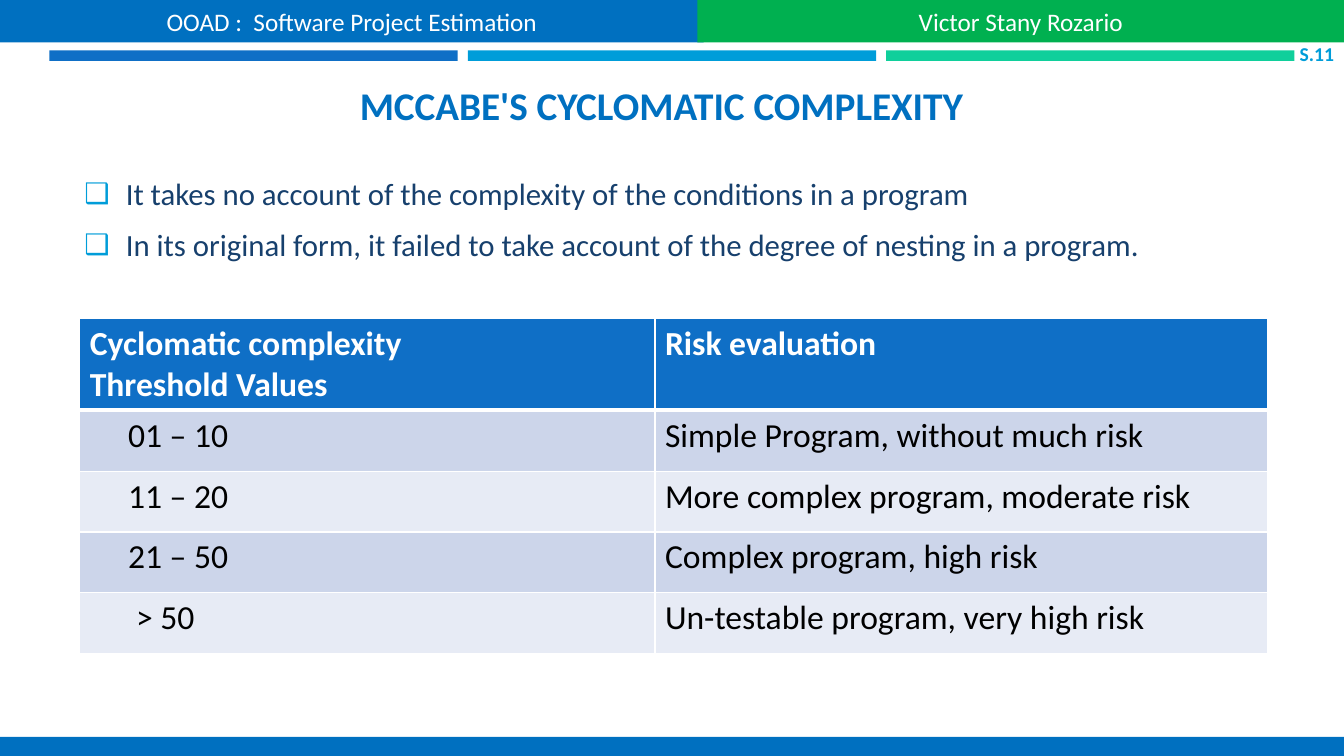
from dataclasses import dataclass
from lxml import etree
from pptx import Presentation
from pptx import util as u
from pptx.dml.color import RGBColor
from pptx.enum import shapes, text
from pptx.oxml import ns

WIDE, HIGH = u.Inches(13.33), u.Inches(7.5)
ALIGN, ANCHOR = text.PP_ALIGN, text.MSO_ANCHOR


@dataclass(frozen=True)
class Theme:
    face: str = "Calibri"
    blue: str = "0070C0"
    green: str = "00B050"
    royal: str = "0F6FC6"
    sky: str = "009DD9"
    mint: str = "10CF9B"
    navy: str = "17406D"
    white: str = "FFFFFF"
    black: str = "000000"
    bands: tuple = ("CCD5EA", "E7EBF5")
    title: int = 28
    grid: int = 24
    body: int = 22
    head: int = 18
    page: int = 14


LOOK = Theme()
ROWS = [
    ("01 – 10", "Simple Program, without much risk"),
    ("11 – 20", "More complex program, moderate risk"),
    ("21 – 50", "Complex program, high risk"),
    ("> 50", "Un-testable program, very high risk"),
]


def across(share):
    return int(WIDE * share / 100)


def down(share):
    return int(HIGH * share / 100)


def place(left, top, width, height):
    return across(left), down(top), across(width), down(height)


def paint(fill, color):
    fill.solid()
    fill.fore_color.rgb = RGBColor.from_string(color)


def write(frame, lines, size, color, bold=False, align=ALIGN.LEFT):
    frame.word_wrap = True
    frame.text = "\n".join(lines)
    for para in frame.paragraphs:
        para.alignment = align
        font = para.font
        font.name, font.size, font.bold = LOOK.face, u.Pt(size), bold
        font.color.rgb = RGBColor.from_string(color)


def bar(slide, box, color, label=None):
    shape = slide.shapes.add_shape(shapes.MSO_SHAPE.RECTANGLE, *place(*box))
    shape.shadow.inherit = False
    paint(shape.fill, color)
    shape.line.fill.background()
    if label:
        shape.text_frame.vertical_anchor = ANCHOR.MIDDLE
        write(shape.text_frame, [label], LOOK.head, LOOK.white, align=ALIGN.CENTER)


def note(slide, box, lines, size, color, anchor=ANCHOR.TOP, **style):
    frame = slide.shapes.add_textbox(*place(*box)).text_frame
    frame.vertical_anchor = anchor
    write(frame, lines, size, color, **style)
    return frame


def bullet(para):
    para.space_after = u.Pt(10)
    props = para._p.get_or_add_pPr()
    props.set("marL", str(u.Inches(0.41)))
    props.set("indent", str(-u.Inches(0.41)))
    tint = etree.Element(ns.qn("a:buClr"))
    etree.SubElement(tint, ns.qn("a:srgbClr"), val=LOOK.sky)
    size = etree.Element(ns.qn("a:buSzPct"), val="92000")
    face = etree.Element(ns.qn("a:buFont"), typeface=LOOK.face)
    mark = etree.Element(ns.qn("a:buChar"), char="❑")
    for item in (tint, size, face, mark):
        props.find(ns.qn("a:defRPr")).addprevious(item)


def edge(cell, top, base):
    props = cell._tc.get_or_add_tcPr()
    for side, width in zip("LRTB", (1, 1, top, base)):
        line = etree.SubElement(props, ns.qn(f"a:ln{side}"), w=str(u.Pt(width)))
        fill = etree.SubElement(line, ns.qn("a:solidFill"))
        etree.SubElement(fill, ns.qn("a:srgbClr"), val=LOOK.white)


def fit(cell, lines, back, color, bold=False, top=1, base=1):
    edge(cell, top, base)
    paint(cell.fill, back)
    write(cell.text_frame, lines, LOOK.grid, color, bold)


def risk(slide):
    box = place(5.93, 42.13, 88.4, 44.3)
    table = slide.shapes.add_table(len(ROWS) + 1, 2, *box).table
    for col, share in zip(table.columns, (42.8, 45.6)):
        col.width = across(share)
    for num, row in enumerate(table.rows):
        row.height = down(8.05 if num else 12.15)
    heads = (["Cyclomatic complexity", "Threshold Values"], ["Risk evaluation"])
    for col, lines in enumerate(heads):
        fit(table.cell(0, col), lines, LOOK.royal, LOOK.white, True, base=3)
    for num, row in enumerate(ROWS):
        for col, words in enumerate(row):
            cell = table.cell(num + 1, col)
            fit(cell, [words], LOOK.bands[num % 2], LOOK.black, top=1 if num else 3)
        table.cell(num + 1, 0).margin_left = u.Inches(0.56 if row[0][0] == ">" else 0.48)


def main():
    deck = Presentation()
    deck.slide_width, deck.slide_height = WIDE, HIGH
    slide = deck.slides.add_slide(deck.slide_layouts[6])
    for num, color in enumerate((LOOK.royal, LOOK.sky, LOOK.mint)):
        bar(slide, (3.68 + 31.13 * num, 6.67, 30.38, 1.4), color)
    note(slide, (3.98, 8.0, 90.45, 9.6), ["MCCABE'S CYCLOMATIC COMPLEXITY"],
         LOOK.title, LOOK.blue, ANCHOR.BOTTOM, bold=True, align=ALIGN.CENTER)
    points = note(slide, (5.55, 22.5, 92, 15), [
        "It takes no account of the complexity of the conditions in a program",
        "In its original form, it failed to take account of the degree of nesting in a program.",
    ], LOOK.body, LOOK.navy)
    for para in points.paragraphs:
        bullet(para)
    risk(slide)
    note(slide, (94, 5.13, 6, 4), ["S.11"], LOOK.page, LOOK.sky,
         ANCHOR.MIDDLE, bold=True, align=ALIGN.RIGHT)
    bar(slide, (0, 0, 52.35, 5.6), LOOK.blue, "OOAD :  Software Project Estimation")
    bar(slide, (51.9, 0, 48.1, 5.6), LOOK.green, "Victor Stany Rozario")
    bar(slide, (0, 97.47, 100, 2.53), LOOK.blue)
    deck.save("out.pptx")


if __name__ == "__main__":
    main()
